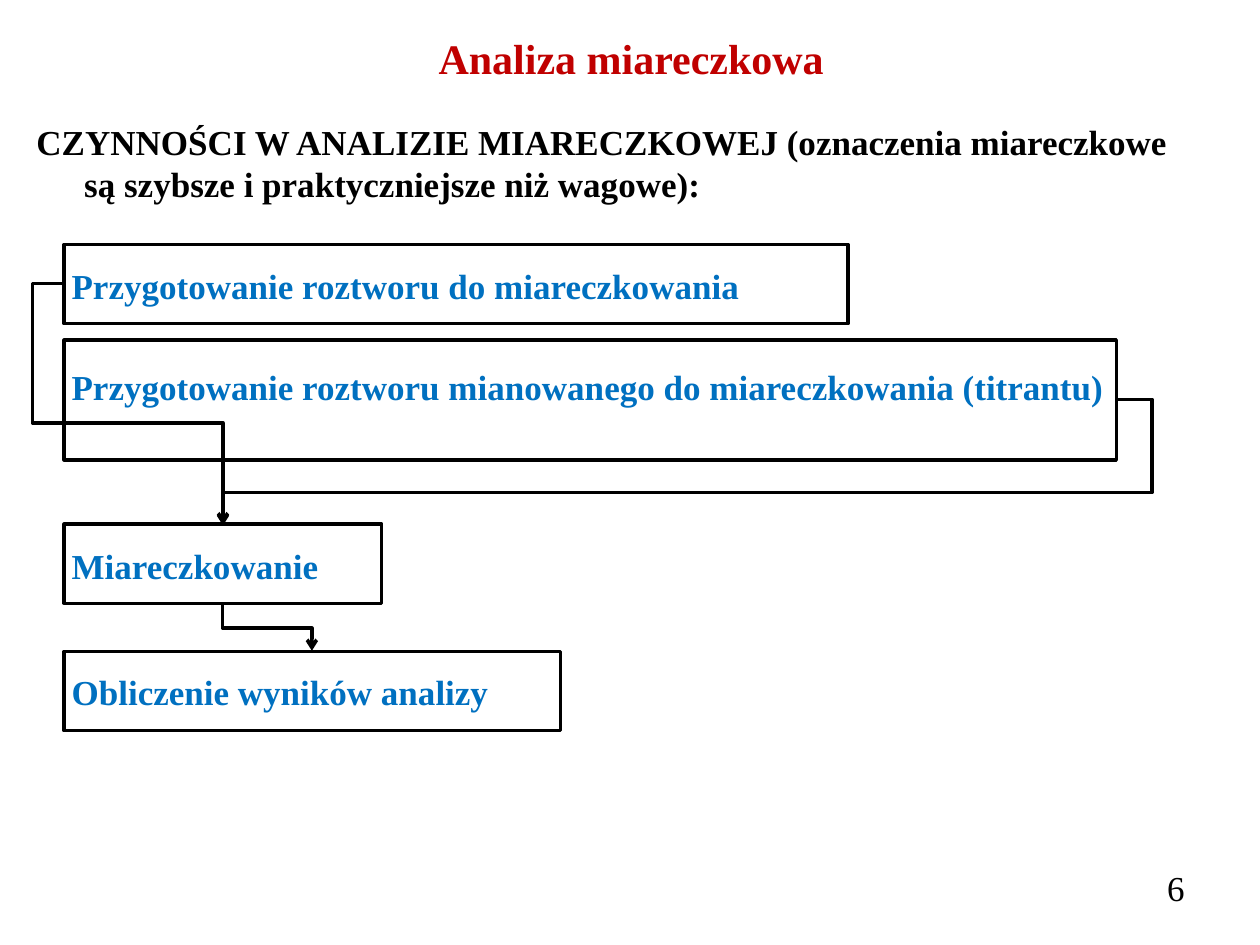
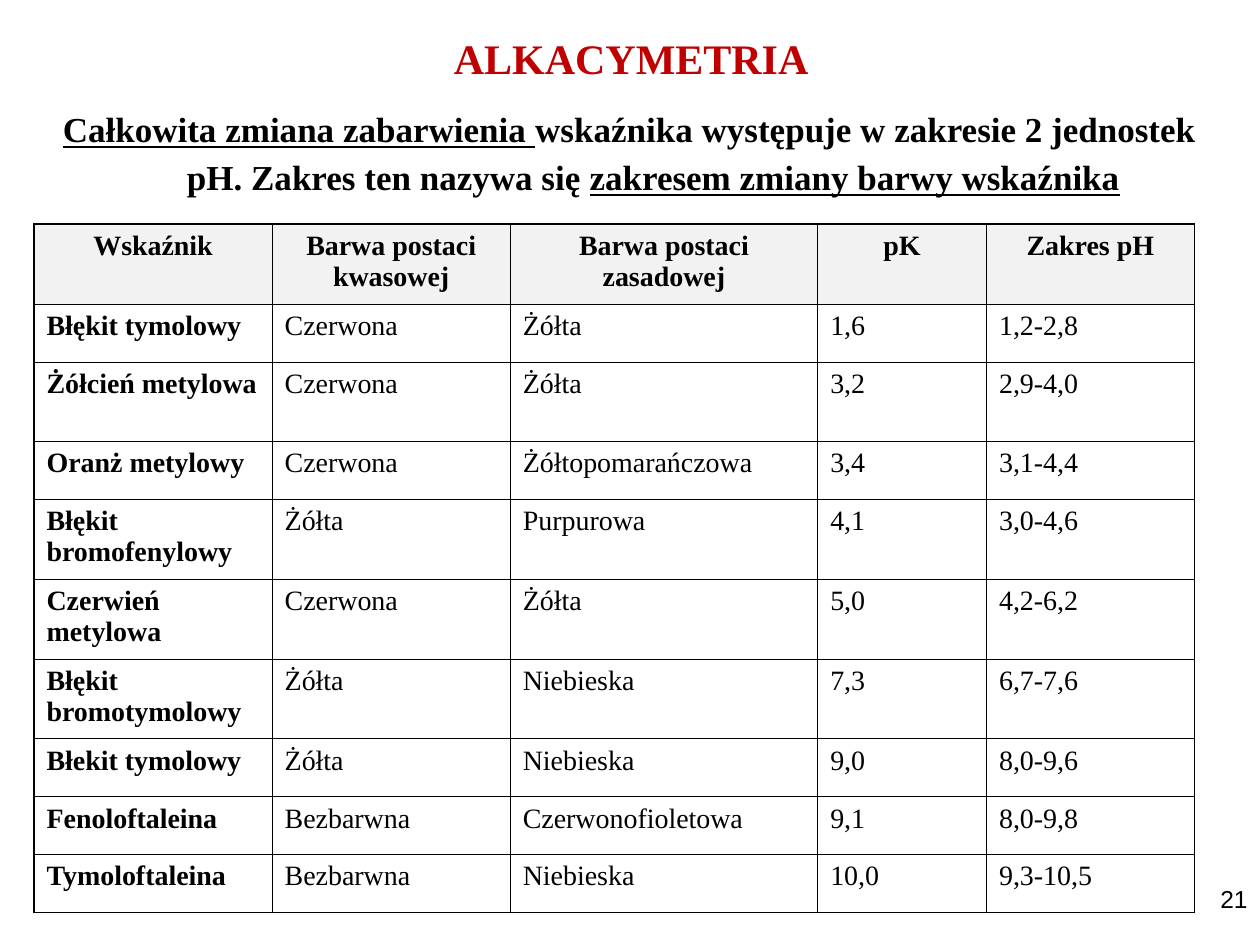
from lxml import etree
from pptx import Presentation
from pptx import util as u
from pptx.dml.color import RGBColor
from pptx.enum import shapes, text
from pptx.oxml.ns import qn

INK, RED, BLUE, PALE, WHITE = "000000", "C00000", "0070C0", "F2F2F2", "FFFFFF"
FONT = "Times New Roman"
LEFT, MID, RIGHT = text.PP_ALIGN.LEFT, text.PP_ALIGN.CENTER, text.PP_ALIGN.RIGHT
TOP, CORE = text.MSO_ANCHOR.TOP, text.MSO_ANCHOR.MIDDLE


def rgb(code):
    return RGBColor.from_string(code)


class Deck:
    def __init__(self):
        self.prs = Presentation()
        self.prs.slide_width = u.Inches(10)
        self.prs.slide_height = u.Inches(7.5)

    def page(self, title):
        """Start a slide and give it the shared title."""
        self.slide = self.prs.slides.add_slide(self.prs.slide_layouts[6])
        frame = self.box(0.51, 0.09, 9, 0.74, CORE)
        self.label(frame.paragraphs[0], title, 24, RED, True, MID)

    def box(self, x, y, w, h, anchor=TOP):
        shape = self.slide.shapes.add_textbox(*map(u.Inches, (x, y, w, h)))
        frame = shape.text_frame
        frame.word_wrap = True
        frame.vertical_anchor = anchor
        return frame

    def piece(self, para, words, size, color=INK, bold=False, under=False, name=FONT):
        run = para.add_run()
        run.text = words
        font = run.font
        font.name, font.size = name, u.Pt(size)
        font.bold, font.underline = bold, under
        font.color.rgb = rgb(color)

    def label(self, para, words, size, color=INK, bold=False, align=LEFT, name=FONT):
        para.alignment = align
        self.piece(para, words, size, color, bold, name=name)

    def space(self, para, line, before=0, left=0.38, first=0):
        """Set exact line pitch, gap above and indents."""
        para.line_spacing = u.Pt(line)
        para.space_before = u.Pt(before)
        props = para._p.get_or_add_pPr()
        props.set("marL", str(u.Inches(left)))
        props.set("indent", str(u.Inches(first)))

    def rect(self, x, y, w, h):
        shape = self.slide.shapes.add_shape(
            shapes.MSO_SHAPE.RECTANGLE, *map(u.Inches, (x, y, w, h)))
        shape.shadow.inherit = False
        shape.fill.solid()
        shape.fill.fore_color.rgb = rgb(WHITE)
        shape.line.color.rgb = rgb(INK)
        shape.line.width = u.Pt(2)

    def elbow(self, start, end, bends, turn=0):
        """Draw a bent arrow; bends are shares of its width and height."""
        link = self.slide.shapes.add_connector(
            shapes.MSO_CONNECTOR.ELBOW, *map(u.Inches, start + end))
        link.line.color.rgb = rgb(INK)
        link.line.width = u.Pt(2)
        props = link._element.spPr
        if turn:
            props.find(qn("a:xfrm")).set("rot", str(turn * 60000))
        geom = props.find(qn("a:prstGeom"))
        geom.set("prst", f"bentConnector{len(bends) + 2}")
        for old in list(geom):
            geom.remove(old)
        guides = etree.SubElement(geom, qn("a:avLst"))
        for i, bend in enumerate(bends, 1):
            etree.SubElement(guides, qn("a:gd"), name=f"adj{i}",
                             fmla=f"val {round(bend * 100000)}")
        etree.SubElement(props.find(qn("a:ln")), qn("a:tailEnd"), type="arrow")
        etree.SubElement(props, qn("a:effectLst"))

    def edge(self, cell, side, width):
        line = etree.SubElement(cell._tc.get_or_add_tcPr(), qn(f"a:ln{side}"),
                                w=str(u.Pt(width)))
        fill = etree.SubElement(line, qn("a:solidFill"))
        etree.SubElement(fill, qn("a:srgbClr"), val=INK)

    def table(self, x, y, cols, highs, rows):
        area = map(u.Inches, (x, y, sum(cols), sum(highs)))
        grid = self.slide.shapes.add_table(len(rows), len(cols), *area).table
        for col, wide in zip(grid.columns, cols):
            col.width = u.Inches(wide)
        for r, (row, high) in enumerate(zip(rows, highs)):
            grid.rows[r].height = u.Inches(high)
            for c, words in enumerate(row):
                cell = grid.cell(r, c)
                para = cell.text_frame.paragraphs[0]
                para.space_before = u.Pt(4)
                self.label(para, words, 16, INK, r == 0 or c == 0,
                           MID if r == 0 else LEFT)
                # Outer edges are heavier than inner ones
                outer = {"L": c == 0, "R": c == len(cols) - 1,
                         "T": r == 0, "B": r == len(rows) - 1}
                for side, thick in outer.items():
                    self.edge(cell, side, 1.08 if thick else 0.45)
                if r == 0:
                    cell.fill.solid()
                    cell.fill.fore_color.rgb = rgb(PALE)
                else:
                    cell.fill.background()

    def number(self, x, y, words, size, name):
        frame = self.box(x, y, 2.33, 0.52)
        self.label(frame.paragraphs[0], words, size, INK, False, RIGHT, name)


def steps(deck):
    deck.page("Analiza miareczkowa")

    # Step frames: top, width, height
    for y, w, h in ((4.16, 2.52, 0.63), (5.17, 3.94, 0.63),
                    (2.7, 8.35, 0.95), (1.94, 6.22, 0.63)):
        deck.rect(0.51, y, w, h)

    # Arrows between steps
    deck.elbow((0.51, 2.25), (1.77, 4.16), (-0.2, 0.58))
    deck.elbow((2.3, 4.63), (1.94, 5.34), (0.5,), 270)
    deck.elbow((8.86, 3.17), (1.77, 4.17), (-0.04, 0.74))
    deck.number(7.17, 6.83, "6", 20, FONT)

    # Heading and step names, with the gap above each
    frame = deck.box(0.19, 0.91, 9.45, 6.38)
    head = frame.paragraphs[0]
    deck.label(head, "CZYNNOŚCI W ANALIZIE MIARECZKOWEJ (oznaczenia miareczkowe "
               "są szybsze i praktyczniejsze niż wagowe):", 20, INK, True)
    deck.space(head, 24, first=-0.38)
    for words, gap in (
            ("Przygotowanie roztworu do miareczkowania", 34),
            ("Przygotowanie roztworu mianowanego do miareczkowania (titrantu)", 34),
            ("Miareczkowanie", 78),
            ("Obliczenie wyników analizy", 48)):
        para = frame.add_paragraph()
        deck.label(para, words, 20, BLUE, True)
        deck.space(para, 24, gap, 0.28)


def dyes(deck):
    deck.page("ALKACYMETRIA")

    # Lead sentence
    lead = deck.box(0.27, 0.76, 9.45, 1.0).paragraphs[0]
    lead.alignment = MID
    deck.space(lead, 27.4, first=-0.38)
    for words, under in (
            ("Całkowita zmiana zabarwienia ", True),
            ("wskaźnika występuje w zakresie 2 jednostek pH. "
             "Zakres ten nazywa się ", False),
            ("zakresem zmiany barwy wskaźnika", True)):
        deck.piece(lead, words, 20, INK, True, under)

    # Indicator table
    rows = (
        ("Wskaźnik", "Barwa postaci kwasowej", "Barwa postaci zasadowej",
         "pK", "Zakres pH"),
        ("Błękit tymolowy", "Czerwona", "Żółta", "1,6", "1,2-2,8"),
        ("Żółcień metylowa", "Czerwona", "Żółta", "3,2", "2,9-4,0"),
        ("Oranż metylowy", "Czerwona", "Żółtopomarańczowa", "3,4", "3,1-4,4"),
        ("Błękit bromofenylowy", "Żółta", "Purpurowa", "4,1", "3,0-4,6"),
        ("Czerwień metylowa", "Czerwona", "Żółta", "5,0", "4,2-6,2"),
        ("Błękit bromotymolowy", "Żółta", "Niebieska", "7,3", "6,7-7,6"),
        ("Błekit tymolowy", "Żółta", "Niebieska", "9,0", "8,0-9,6"),
        ("Fenoloftaleina", "Bezbarwna", "Czerwonofioletowa", "9,1", "8,0-9,8"),
        ("Tymoloftaleina", "Bezbarwna", "Niebieska", "10,0", "9,3-10,5"),
    )
    tall = (0, 2, 4, 5, 6)
    highs = [0.63 if r in tall else 0.46 for r in range(len(rows))]
    deck.table(0.27, 1.78, (1.89, 1.89, 2.44, 1.34, 1.65), highs, rows)
    deck.number(7.67, 6.97, "21", 14, "Arial")


def main():
    deck = Deck()
    steps(deck)
    dyes(deck)
    deck.prs.save("out.pptx")


if __name__ == "__main__":
    main()
